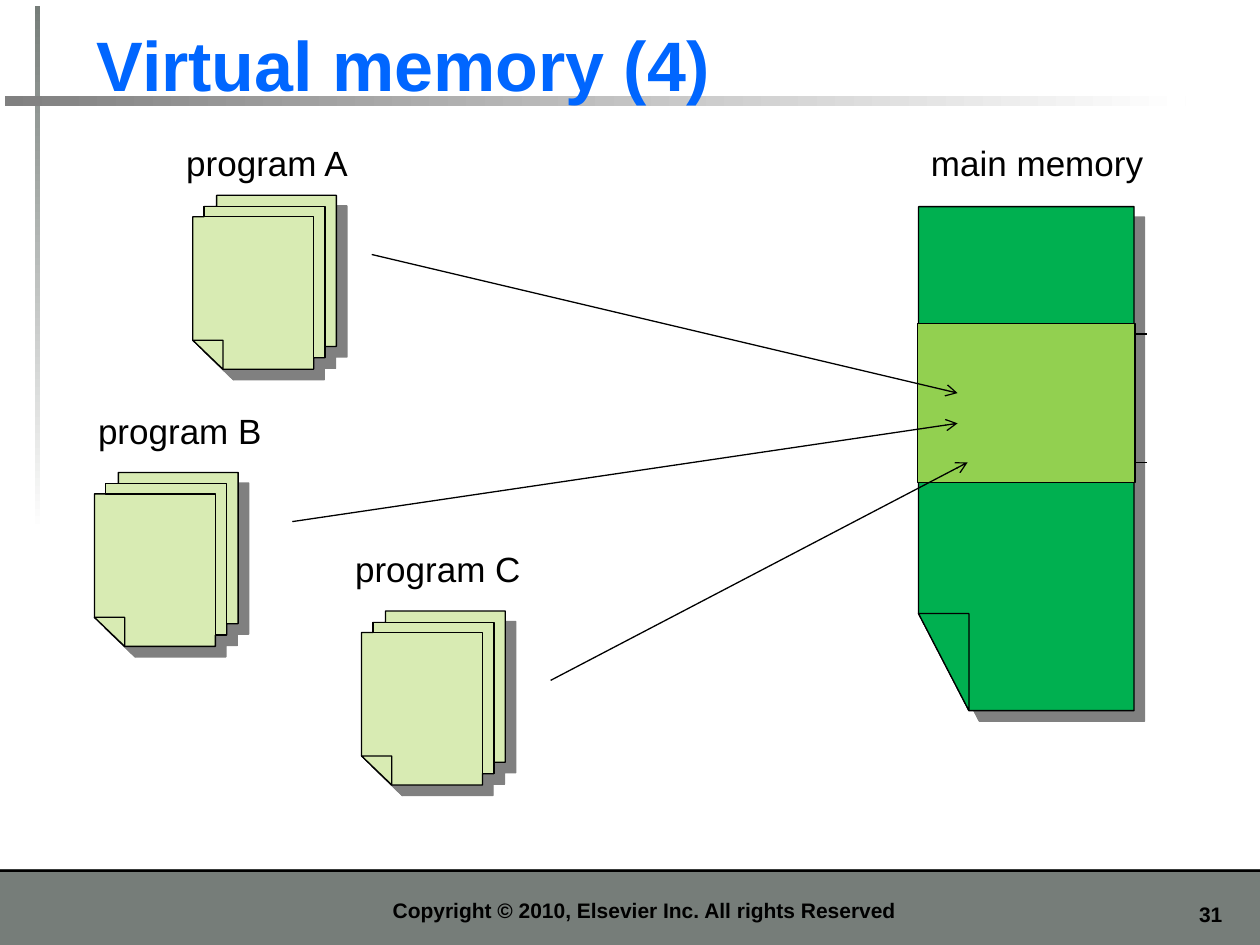
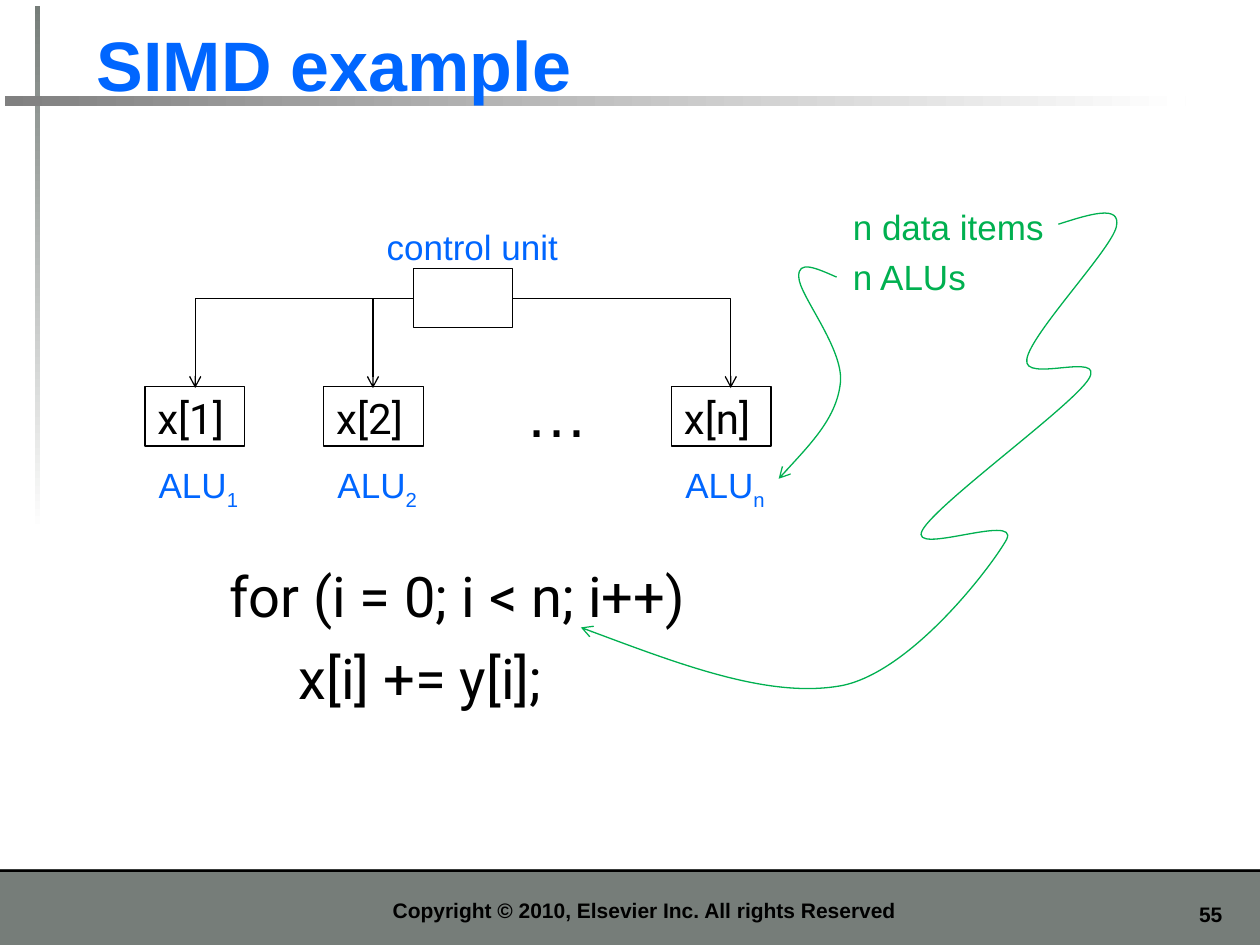
from lxml import etree
from pptx import Presentation
from pptx.dml.color import RGBColor
from pptx.enum.shapes import MSO_CONNECTOR, MSO_SHAPE
from pptx.enum.text import MSO_ANCHOR, MSO_AUTO_SIZE, PP_ALIGN
from pptx.oxml.ns import qn
from pptx.util import Pt

PX = 9144  # EMU in one px, 100 px to the inch
RECT = MSO_SHAPE.RECTANGLE
STRAIGHT, ELBOW = MSO_CONNECTOR.STRAIGHT, MSO_CONNECTOR.ELBOW
LEFT, CENTER, RIGHT = PP_ALIGN.LEFT, PP_ALIGN.CENTER, PP_ALIGN.RIGHT
TOP, BOTTOM = MSO_ANCHOR.TOP, MSO_ANCHOR.BOTTOM
FIT = MSO_AUTO_SIZE.SHAPE_TO_FIT_TEXT
HEX = {"black": "000000", "white": "FFFFFF", "blue": "0066FF", "slate": "767D79",
       "grey": "808080", "page": "D8EBB3", "memory": "00B050", "block": "92D050"}
C = {name: RGBColor.from_string(value) for name, value in HEX.items()}
TITLE = {"size": Pt(40), "bold": True, "color": "blue"}
FOOTER = {"size": Pt(12), "bold": True}
CODE = {"name": "Roboto"}


def text(s, box, lines, fmt, align=LEFT, anchor=TOP, wrap=False, gap=0, sub=""):
    """Add a text box; sub is a subscript run after the last line."""
    tf = s.shapes.add_textbox(*[v * PX for v in box]).text_frame
    tf.word_wrap, tf.vertical_anchor = wrap, anchor
    if not wrap:
        tf.auto_size = FIT
    for i, line in enumerate(lines):
        p = tf.paragraphs[0] if i == 0 else tf.add_paragraph()
        p.alignment = align
        if i:
            p.space_before = Pt(gap)
        p.add_run().text = line
    if sub:
        r = p.add_run()
        r.text = sub
        r._r.get_or_add_rPr().set("baseline", "-25000")
    style = {"name": "Arial", "size": Pt(20), "color": "black"} | fmt
    color = C[style.pop("color")]
    for p in tf.paragraphs:
        for r in p.runs:
            r.font.color.rgb = color
            for key, value in style.items():
                setattr(r.font, key, value)


def freeform(s, outlines, line, fill=None):
    """Draw closed outlines with a fill and shadow, or without fill an open Bezier curve."""
    fb = s.shapes.build_freeform(*outlines[0][0], scale=PX)
    for i, points in enumerate(outlines):
        if i:
            fb.move_to(*points[0])
        fb.add_line_segments(points[1:], close=bool(fill))
    sp = fb.convert_to_shape()
    sp.shadow.inherit = False
    sp.line.color.rgb, sp.line.width = C[line], Pt(0.75)

    # Each outline gets its own path, so that overlaps stay filled
    joined = sp._element.find(".//" + qn("a:path"))
    for node in list(joined):
        if node.tag == qn("a:moveTo"):
            path = etree.SubElement(joined.getparent(), joined.tag, dict(joined.attrib))
        if fill or node.tag == qn("a:moveTo"):
            path.append(node)
        else:
            if path[-1].tag == qn("a:moveTo") or len(path[-1]) == 3:
                etree.SubElement(path, qn("a:cubicBezTo"))
            path[-1].append(node[0])
    joined.getparent().remove(joined)

    if fill:
        sp.fill.solid()
        sp.fill.fore_color.rgb = C[fill]
        effects = sp._element.spPr.find(qn("a:effectLst"))
        shadow = etree.SubElement(effects, qn("a:outerShdw"), dist=str(Pt(8.5)),
                                  dir="2700000", algn="ctr", rotWithShape="0")
        etree.SubElement(shadow, qn("a:srgbClr"), val=HEX["grey"])
    else:
        sp.fill.background()
    return sp


prs = Presentation()
prs.slide_width, prs.slide_height = 1000 * PX, 750 * PX
slides = []
for title, number in [("Virtual memory (4)", "31"), ("SIMD example", "55")]:
    s = prs.slides.add_slide(prs.slide_layouts[6])
    slides.append(s)
    for box, colors, angle in [((0, 690, 1000, 60), ["slate"], None),
                               ((0, 690, 1000, 2), ["black"], None),
                               ((28, 5, 4, 417), ["slate", "white"], 270),
                               ((4, 76, 937, 8), ["grey", "white"], 0)]:
        sp = s.shapes.add_shape(RECT, *[v * PX for v in box])
        sp.shadow.inherit = False
        sp.line.fill.background()
        if angle is None:
            sp.fill.solid()
            sp.fill.fore_color.rgb = C[colors[0]]
        else:
            sp.fill.gradient()
            sp.fill.gradient_angle = angle
            for stop, color in zip(sp.fill.gradient_stops, colors):
                stop.color.rgb = C[color]
    text(s, (917, 711, 63, 30), [number], FOOTER, RIGHT, wrap=True)
    text(s, (67, 12, 906, 77), [title], TITLE, anchor=BOTTOM, wrap=True)
    text(s, (114, 698, 795, 39), ["Copyright © 2010, Elsevier Inc. All rights Reserved"],
         FOOTER, CENTER, BOTTOM, wrap=True)
memory_slide, simd_slide = slides
boxes, connectors, arrows = [], [], []

# Virtual memory: three programs share one block of main memory
s = memory_slide
stack = [
    [(0, 115), (0, 17), (9, 17), (9, 9), (19, 9), (19, 0), (114, 0), (114, 120),
     (105, 120), (105, 129), (96, 129), (96, 138), (24, 138)],
    [(19, 9), (105, 9), (105, 129), (96, 129), (96, 17), (9, 17), (9, 9)],
    [(0, 115), (24, 115), (24, 138)],
]
for name, x, y, label_x, label_y in [("program A", 153, 155, 138, 107),
                                     ("program B", 75, 375, 68, 320),
                                     ("program C", 287, 485, 272, 430)]:
    pages = [[(x + dx, y + dy) for dx, dy in points] for points in stack]
    freeform(s, pages, "black", "page")
    text(s, (label_x, label_y, 156, 44), [name], {})

freeform(s, [[(769, 564), (729, 487), (729, 164), (900, 164), (900, 564)],
             [(729, 487), (769, 487), (769, 564)]], "black", "memory")
text(s, (729, 107, 194, 44), ["main memory"], {})
for y in (265, 367):
    connectors.append(s.shapes.add_connector(STRAIGHT, 728 * PX, y * PX, 910 * PX, y * PX))
block = s.shapes.add_shape(RECT, 728 * PX, 257 * PX, 173 * PX, 126 * PX)
block.fill.solid()
block.fill.fore_color.rgb = C["block"]
boxes.append(block)
for ends in [(295, 202, 760, 312), (232, 414, 760, 336), (437, 540, 768, 367)]:
    arrows.append(s.shapes.add_connector(STRAIGHT, *[v * PX for v in ends]))

# SIMD: one control unit drives n ALUs
s = simd_slide
text(s, (297, 174, 162, 44), ["control unit"], {"color": "blue"})
for x, y in [(328, 213), (115, 307), (257, 307), (533, 307)]:
    sp = s.shapes.add_shape(RECT, x * PX, y * PX, 79 * PX, 47 * PX)
    sp.fill.background()
    boxes.append(sp)
for x, index in [(115, "1"), (257, "2"), (533, "n")]:
    text(s, (x, 307, 84, 50), [f"x[{index}]"], CODE | {"size": Pt(24)})
    text(s, (x + 1, 363, 88, 48), ["ALU"], {"color": "blue"}, sub=index)
text(s, (407, 292, 74, 70), ["…"], {"size": Pt(36)})
text(s, (172, 441, 410, 128), ["for (i = 0; i < n; i++)", "     x[i] += y[i];"],
     CODE | {"size": Pt(32)}, gap=8)
text(s, (667, 158, 178, 84), ["n data items", "n ALUs"], {"color": "memory"}, gap=5)

for start_x, end_x in [(328, 155), (407, 580)]:
    cx = s.shapes.add_connector(ELBOW, start_x * PX, 237 * PX, end_x * PX, 308 * PX)
    cx._element.spPr.find(qn("a:prstGeom")).set("prst", "bentConnector2")
    arrows.append(cx)
arrows.append(s.shapes.add_connector(STRAIGHT, 296 * PX, 237 * PX, 296 * PX, 308 * PX))

to_alu = [(664, 220), (648, 213), (633, 206), (634, 220), (634, 234), (670, 277),
          (667, 304), (664, 331), (641, 355), (618, 380)]
to_loop = [(840, 178), (865, 170), (890, 162), (886, 180), (882, 198), (818, 265),
           (815, 285), (811, 305), (878, 278), (864, 301), (850, 323), (743, 400),
           (732, 421), (721, 442), (809, 407), (799, 428), (788, 448), (725, 532),
           (669, 544), (612, 555), (536, 526), (461, 498)]
curves = [freeform(s, [points], "memory") for points in (to_alu, to_loop)]

# Line style of boxes, connectors and arrowheads
for sp in boxes:
    sp.shadow.inherit = False
for sp in boxes + connectors + arrows:
    sp.line.color.rgb, sp.line.width = C["black"], Pt(0.75)
for sp in arrows + curves:
    etree.SubElement(sp.line._get_or_add_ln(), qn("a:tailEnd"), type="arrow")
for cx in connectors + arrows:
    etree.SubElement(cx._element.spPr, qn("a:effectLst"))

prs.save("out.pptx")
